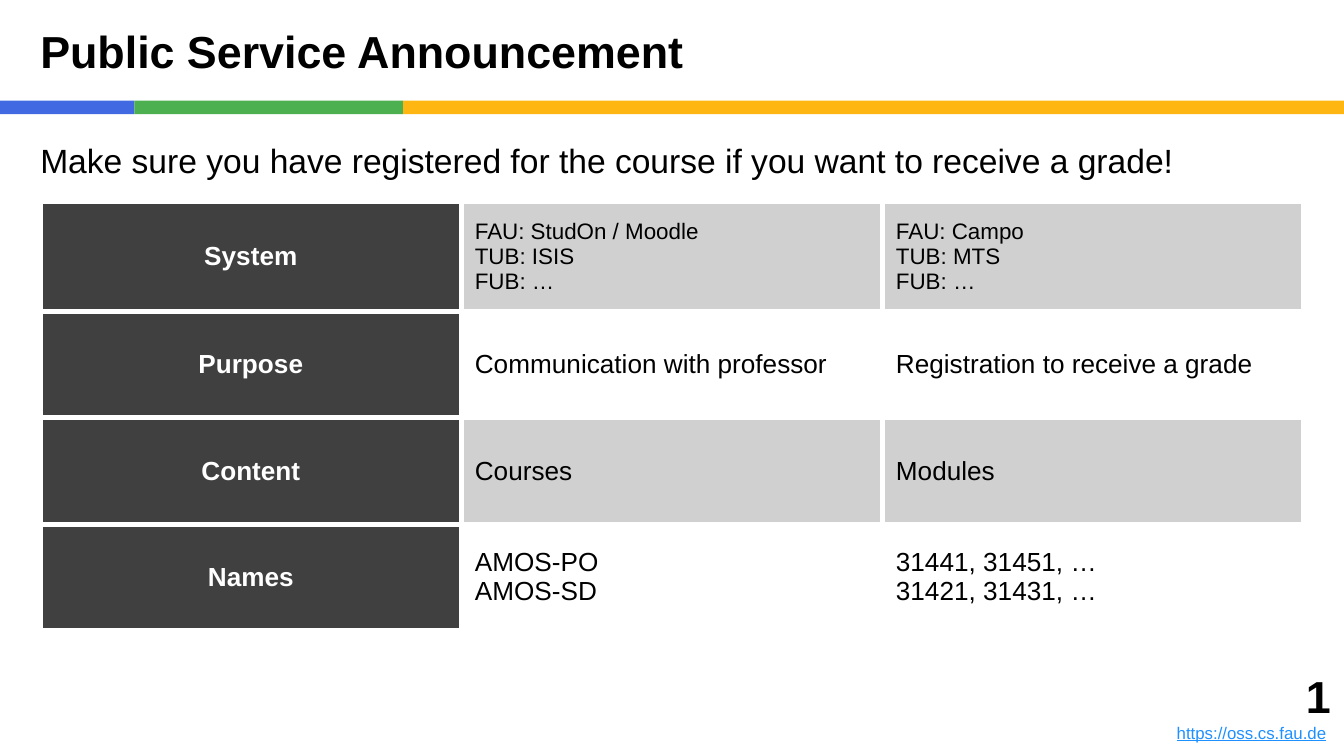
import lxml.etree
import pptx
import pptx.dml.color
import pptx.enum.shapes
import pptx.enum.text
import pptx.oxml.ns
import pptx.util

COLS, ROWS = 40, 22.5
ALIGN = pptx.enum.text.PP_ALIGN
ANCHOR = pptx.enum.text.MSO_ANCHOR
BLACK, WHITE, DARK, GRAY = "000000", "FFFFFF", "404040", "D0D0D0"


def rgb(value):
    return pptx.dml.color.RGBColor.from_string(value)


def unit(n):
    """Length of n grid cells, each a quarter inch square."""
    return pptx.util.Inches(n / 4)


def style(p, size, color=BLACK, bold=False, align=ALIGN.LEFT):
    p.alignment = align
    p.font.name = "Arial"
    p.font.size = pptx.util.Pt(size)
    p.font.bold = bold
    p.font.color.rgb = rgb(color)


class Deck:
    def __init__(self):
        self.prs = pptx.Presentation()
        self.prs.slide_width, self.prs.slide_height = unit(COLS), unit(ROWS)
        self.s = self.prs.slides.add_slide(self.prs.slide_layouts[6])

    def bar(self, x, y, w, h, color):
        rect = pptx.enum.shapes.MSO_SHAPE.RECTANGLE
        sp = self.s.shapes.add_shape(rect, unit(x), unit(y), unit(w), unit(h))
        sp.shadow.inherit = False
        sp.fill.solid()
        sp.fill.fore_color.rgb = rgb(color)
        sp.line.fill.background()

    def text(self, x, y, w, h, text, size, bold=False, anchor=ANCHOR.TOP,
             align=ALIGN.LEFT, inset=0.4):
        sp = self.s.shapes.add_textbox(unit(x), unit(y), unit(w), unit(h))
        tf = sp.text_frame
        tf.word_wrap = True
        tf.vertical_anchor = anchor
        tf.margin_left = tf.margin_right = unit(inset)
        tf.margin_top = tf.margin_bottom = unit(inset)
        tf.text = text
        style(tf.paragraphs[0], size, bold=bold, align=align)
        return tf

    def borders(self, cell, color, width):
        tc_pr = cell._tc.get_or_add_tcPr()
        for side in ("a:lnL", "a:lnR", "a:lnT", "a:lnB"):
            ln = lxml.etree.SubElement(tc_pr, pptx.oxml.ns.qn(side))
            ln.set("w", str(pptx.util.Pt(width)))
            fill = lxml.etree.SubElement(ln, pptx.oxml.ns.qn("a:solidFill"))
            clr = lxml.etree.SubElement(fill, pptx.oxml.ns.qn("a:srgbClr"))
            clr.set("val", color)

    def table(self, x, y, w, heights, rows):
        """Dark header column; even rows of the rest are shaded."""
        n = len(rows[0])
        table = self.s.shapes.add_table(len(rows), n, unit(x), unit(y),
                                        unit(w), unit(sum(heights))).table
        table.first_row = table.horz_banding = False
        for i, row in enumerate(rows):
            table.rows[i].height = unit(heights[i])
            for j, text in enumerate(row):
                cell = table.cell(i, j)
                header = j == 0
                self.borders(cell, WHITE, 3)
                if header or i % 2 == 0:
                    cell.fill.solid()
                    cell.fill.fore_color.rgb = rgb(DARK if header else GRAY)
                else:
                    cell.fill.background()
                cell.vertical_anchor = ANCHOR.MIDDLE
                cell.margin_left = cell.margin_right = unit(0.4)
                cell.margin_top = cell.margin_bottom = unit(0.4)
                cell.text = text
                for p in cell.text_frame.paragraphs:
                    if header:
                        style(p, 14, WHITE, True, ALIGN.CENTER)
                    else:
                        style(p, 12 if i == 0 else 14)


def main():
    deck = Deck()
    x = 0
    for w, color in ((4, "4169E1"), (8, "4CAF50"), (28, "FEB612")):
        deck.bar(x, 3, w, 0.4, color)
        x += w

    title = deck.text(0, 0, COLS, 3, "Public Service Announcement", 24, True,
                      ANCHOR.MIDDLE)
    title.margin_left = unit(1.2)

    body = deck.text(1.2, 4, 37.6, 2,
                     "Make sure you have registered for the course "
                     "if you want to receive a grade!", 18, inset=0)
    body.paragraphs[0].line_spacing = 1.15

    deck.table(1.2, 6, 37.6, [3.28, 3.16, 3.16, 3.16], [
        ["System", "FAU: StudOn / Moodle\nTUB: ISIS\nFUB: …",
         "FAU: Campo\nTUB: MTS\nFUB: …"],
        ["Purpose", "Communication with professor",
         "Registration to receive a grade"],
        ["Content", "Courses", "Modules"],
        ["Names", "AMOS-PO\nAMOS-SD", "31441, 31451, …\n31421, 31431, …"],
    ])

    footer = deck.text(32, 19.3, 8, 3.2, "1", 24, True, ANCHOR.BOTTOM,
                       ALIGN.RIGHT)
    p = footer.add_paragraph()
    style(p, 9, "1E90FF", align=ALIGN.RIGHT)
    r = p.add_run()
    r.text = "https://oss.cs.fau.de"
    r.font.underline = True
    p.add_run().text = " "

    deck.prs.save("out.pptx")


if __name__ == "__main__":
    main()
